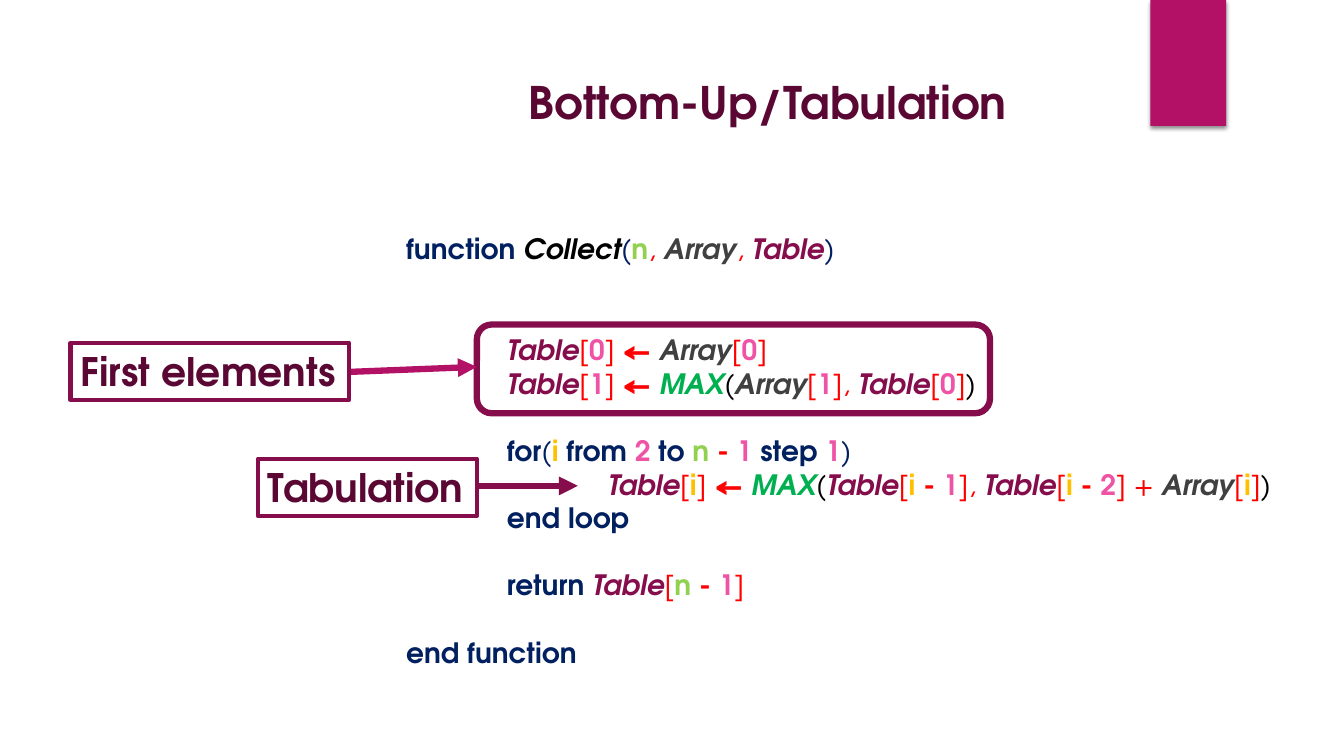
import pptx
import pptx.util
import pptx.dml.color
import pptx.enum.shapes
import pptx.enum.text
import pptx.oxml
import pptx.oxml.ns

W, H = pptx.util.Inches(13.33), pptx.util.Inches(7.5)
FONT = "TeX Gyre Adventor"
LINE_PT = 24
SHAPE = pptx.enum.shapes.MSO_SHAPE
NS = pptx.oxml.ns.nsdecls("a")
COLORS = {
    "accent": "B31166", "plum": "860D4C", "title": "5A0833", "navy": "002060",
    "black": "000000", "grey": "404040", "red": "FF0000", "pink": "EF53A5",
    "lime": "92D050", "green": "00B050", "amber": "FFC000",
}
STYLES = {
    "keyword": ("navy", True, False), "paren": ("navy", False, False),
    "function": ("black", True, True), "call": ("black", False, False),
    "max": ("green", True, True), "table": ("plum", True, True),
    "array": ("grey", True, True), "sign": ("red", False, False),
    "operator": ("red", True, False), "number": ("pink", True, False),
    "size": ("lime", True, False), "index": ("amber", True, False),
}


def item(name, *index):
    """Return the tokens of an indexed element such as Table[0]."""
    return [(name.lower(), name), ("sign", "["), *index, ("sign", "]")]


def minus(style, name, number):
    """Return the tokens of a subtraction inside an index."""
    return [(style, name), ("operator", " - "), ("number", number)]


ZERO, ONE, I = ("number", "0"), ("number", "1"), ("index", "i")
COMMA, ARROW = ("sign", ", "), ("operator", " ← ")
MAX = [("max", "MAX"), ("call", "(")]
CLOSE = ("call", ")")
CODE = [
    (0, 0, [("keyword", "function "), ("function", "Collect"), ("paren", "("), ("size", "n"),
            COMMA, ("array", "Array"), COMMA, ("table", "Table"), ("paren", ")")]),
    (1, 2, [*item("Table", ZERO), ARROW, *item("Array", ZERO)]),
    (1, 0, [*item("Table", ONE), ARROW, *MAX, *item("Array", ONE), COMMA,
            *item("Table", ZERO), CLOSE]),
    (1, 1, [("keyword", "for"), ("paren", "("), I, ("keyword", " from "), ("number", "2"),
            ("keyword", " to "), *minus("size", "n", "1"), ("keyword", " step "), ONE,
            ("paren", ")")]),
    (2, 0, [*item("Table", I), ARROW, *MAX, *item("Table", *minus("index", "i", "1")), COMMA,
            *item("Table", *minus("index", "i", "2")), ("sign", " + "),
            *item("Array", I), CLOSE]),
    (1, 0, [("keyword", "end loop")]),
    (1, 1, [("keyword", "return "), *item("Table", *minus("size", "n", "1"))]),
    (0, 1, [("keyword", "end function")]),
]


def rgb(name):
    """Return the named colour."""
    return pptx.dml.color.RGBColor.from_string(COLORS[name])


def place(box):
    """Turn a box in percent of the slide into lengths."""
    return [round(share / 100 * full) for share, full in zip(box, (W, H, W, H))]


def format_run(r, size, color, bold=True, italic=False):
    """Format one run of text."""
    values = {"name": FONT, "size": pptx.util.Pt(size), "bold": bold, "italic": italic}
    for key, value in values.items():
        setattr(r.font, key, value)
    r.font.color.rgb = rgb(color)


def one_line(sp, text, size):
    """Write a single bold line that does not wrap."""
    tf = sp.text_frame
    values = {"word_wrap": False, "auto_size": pptx.enum.text.MSO_AUTO_SIZE.NONE,
              "vertical_anchor": pptx.enum.text.MSO_ANCHOR.TOP}
    for key, value in values.items():
        setattr(tf, key, value)
    p = tf.paragraphs[0]
    p.alignment = pptx.enum.text.PP_ALIGN.LEFT
    r = p.add_run()
    r.text = text
    format_run(r, size, "title")


def add_ribbon(s, box):
    """Draw the shaded ribbon hanging from the top edge."""
    sp = s.shapes.add_shape(SHAPE.RECTANGLE, *place(box))
    sp.fill.solid()
    sp.fill.fore_color.rgb = rgb("accent")
    sp.line.fill.background()
    sp._element.spPr.append(pptx.oxml.parse_xml(
        f'<a:effectLst {NS}><a:outerShdw blurRad="38100" dist="25400" dir="5400000" '
        'rotWithShape="0"><a:srgbClr val="000000"><a:alpha val="45000"/></a:srgbClr>'
        '</a:outerShdw></a:effectLst>'))


def add_title(s, box, text):
    """Move and format the title placeholder."""
    sp = s.shapes.title
    sp.left, sp.top, sp.width, sp.height = place(box)
    one_line(sp, text, 32)


def add_code(s, box):
    """Write the coloured pseudocode with indents and line gaps."""
    tf = s.shapes.add_textbox(*place(box)).text_frame
    tf.word_wrap = True
    for n, (level, gap, tokens) in enumerate(CODE):
        p = tf.add_paragraph() if n else tf.paragraphs[0]
        p._p.get_or_add_pPr().set("marL", str(pptx.util.Inches(level)))
        if gap:
            p.space_before = pptx.util.Pt(gap * LINE_PT)
        for style, text in tokens:
            r = p.add_run()
            r.text = text
            format_run(r, 20, *STYLES[style])


def add_frame(s, preset, box, width):
    """Draw an unfilled plum frame."""
    sp = s.shapes.add_shape(preset, *place(box))
    sp.shadow.inherit = False
    sp.fill.background()
    sp.line.color.rgb = rgb("plum")
    sp.line.width = pptx.util.Pt(width)
    return sp


def add_callout(s, box, text, start_y, tip, color):
    """Draw a framed label with an arrow from its right edge to the tip."""
    start = (box[0] + box[2], start_y)
    cx = s.shapes.add_connector(
        pptx.enum.shapes.MSO_CONNECTOR.STRAIGHT, *place(start), *place(tip))
    cx.line.color.rgb = rgb(color)
    cx.line.width = pptx.util.Pt(4.5)
    cx.line._get_or_add_ln().append(pptx.oxml.parse_xml(f'<a:tailEnd {NS} type="triangle"/>'))
    cx._element.spPr.append(pptx.oxml.parse_xml(f'<a:effectLst {NS}/>'))
    one_line(add_frame(s, SHAPE.RECTANGLE, box, 3), text, 28)


def main():
    """Build and save the slide."""
    prs = pptx.Presentation()
    prs.slide_width, prs.slide_height = W, H
    s = prs.slides.add_slide(prs.slide_layouts[5])
    add_ribbon(s, (85.6, 0, 5.63, 16.67))
    add_code(s, (29.48, 30, 66.32, 59.73))
    add_title(s, (38.56, 9.2, 37.28, 8.53), "Bottom-Up/Tabulation")
    add_frame(s, SHAPE.ROUNDED_RECTANGLE, (35.48, 42.93, 38.18, 11.73), 4.5)
    add_callout(s, (5.25, 45.33, 20.7, 7.6), "First elements", 49.2, (35.48, 48.53), "accent")
    add_callout(s, (19.2, 60.67, 16.28, 7.6), "Tabulation", 64.27, (42.99, 64.27), "plum")
    prs.save("out.pptx")


if __name__ == "__main__":
    main()
